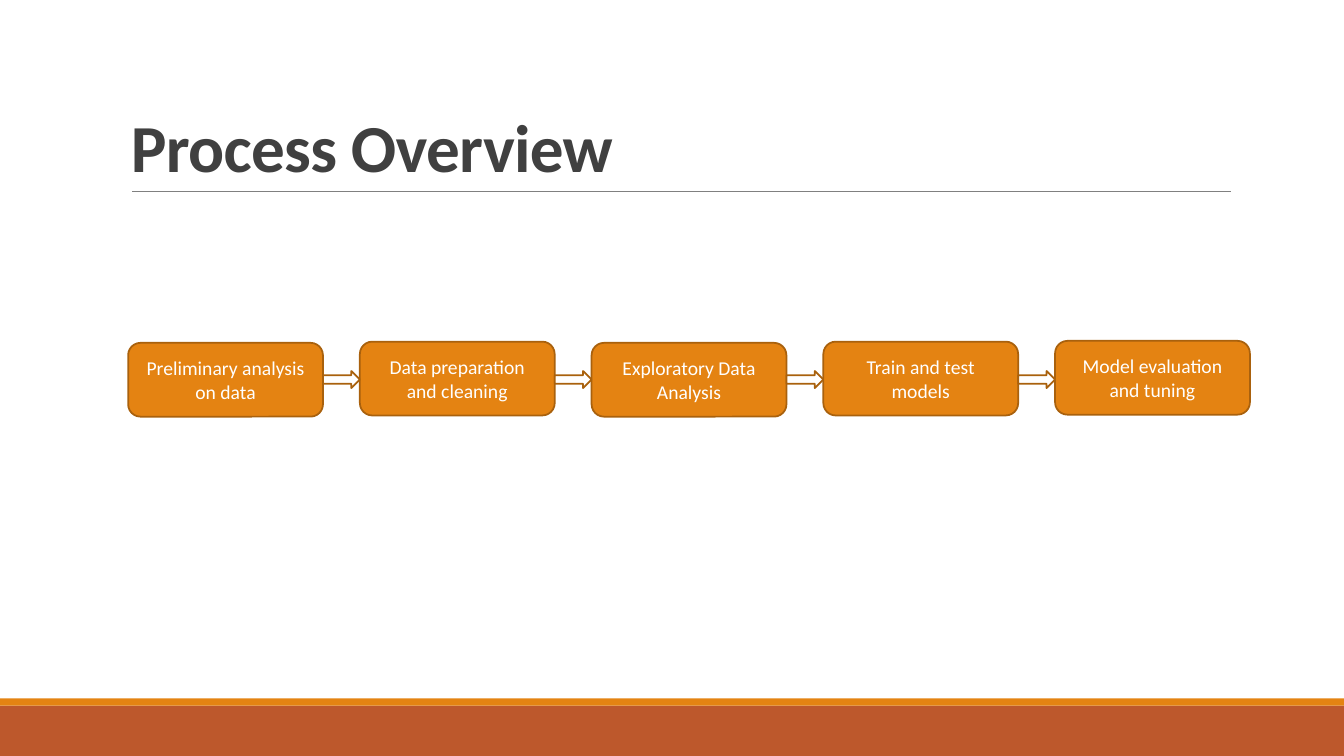
"""Build the Process Overview slide with its five-step flow."""
from pptx import Presentation
from pptx import util as u
from pptx.dml.color import RGBColor
from pptx.enum import shapes, text

TITLE = "Process Overview"
STEPS = [
    ("Preliminary analysis on data", 8.64),
    ("Data preparation and cleaning", 8.61),
    ("Exploratory Data Analysis", 8.64),
    ("Train and test models", 8.61),
    ("Model evaluation and tuning", 8.59),
]
BANDS = [("BD582C", 17.78, 1.27), ("E48312", 17.6, 0.18)]
ORANGE, BROWN, WHITE, GREY, DARK = "E48312", "A9610D", "FFFFFF", "808080", "404040"
SLIDE_W, SLIDE_H = 33.87, 19.05
LEFT, PITCH, BOX_W, BOX_H = 3.23, 5.84, 4.91, 1.86
ARROW_TOP, ARROW_H = 9.35, 0.43
KIND = shapes.MSO_SHAPE


def rgb(value):
    return RGBColor.from_string(value)


def write(sp, words, size, color, bold=False, align=text.PP_ALIGN.CENTER,
          anchor=text.MSO_ANCHOR.MIDDLE, spacing=None, tracking=None):
    tf = sp.text_frame
    tf.word_wrap = True
    tf.vertical_anchor = anchor
    p = tf.paragraphs[0]
    p.alignment = align
    p.line_spacing = spacing
    r = p.add_run()
    r.text = words
    r.font.name, r.font.size, r.font.bold = "Calibri", u.Pt(size), bold
    r.font.color.rgb = rgb(color)
    if tracking is not None:
        r.font._element.set("spc", str(tracking))


def add_block(s, kind, x, y, w, h, fill, line=None):
    sp = s.shapes.add_shape(kind, u.Cm(x), u.Cm(y), u.Cm(w), u.Cm(h))
    sp.shadow.inherit = False
    sp.fill.solid()
    sp.fill.fore_color.rgb = rgb(fill)
    if line:
        sp.line.color.rgb = rgb(line)
        sp.line.width = u.Pt(1.25)
    else:
        sp.line.fill.background()
    return sp


def add_rule(s, x1, x2, y):
    rule = s.shapes.add_connector(shapes.MSO_CONNECTOR.STRAIGHT,
                                  u.Cm(x1), u.Cm(y), u.Cm(x2), u.Cm(y))
    rule.line.color.rgb = rgb(GREY)
    rule.line.width = u.Pt(0.5)
    sp_pr = rule._element.spPr
    sp_pr.append(sp_pr.makeelement(
        "{http://schemas.openxmlformats.org/drawingml/2006/main}effectLst", {}))


def main():
    prs = Presentation()
    prs.slide_width, prs.slide_height = u.Cm(SLIDE_W), u.Cm(SLIDE_H)
    s = prs.slides.add_slide(prs.slide_layouts[6])

    for color, top, height in BANDS:
        add_block(s, KIND.RECTANGLE, 0, top, SLIDE_W, height, color)
    add_rule(s, 3.33, 31.01, 4.82)

    for i, (words, top) in enumerate(STEPS):
        sp = add_block(s, KIND.ROUNDED_RECTANGLE, LEFT + i * PITCH, top,
                       BOX_W, BOX_H, ORANGE, BROWN)
        write(sp, words, 14, WHITE)
    for i in range(len(STEPS) - 1):
        add_block(s, KIND.RIGHT_ARROW, LEFT + i * PITCH + BOX_W, ARROW_TOP,
                  PITCH - BOX_W, ARROW_H, WHITE, BROWN)

    title = s.shapes.add_textbox(u.Cm(3.05), u.Cm(0.79), u.Cm(27.94), u.Cm(4.04))
    write(title, TITLE, 48, DARK, bold=True, align=text.PP_ALIGN.LEFT,
          anchor=text.MSO_ANCHOR.BOTTOM, spacing=0.85, tracking=-50)

    prs.save("out.pptx")


if __name__ == "__main__":
    main()
